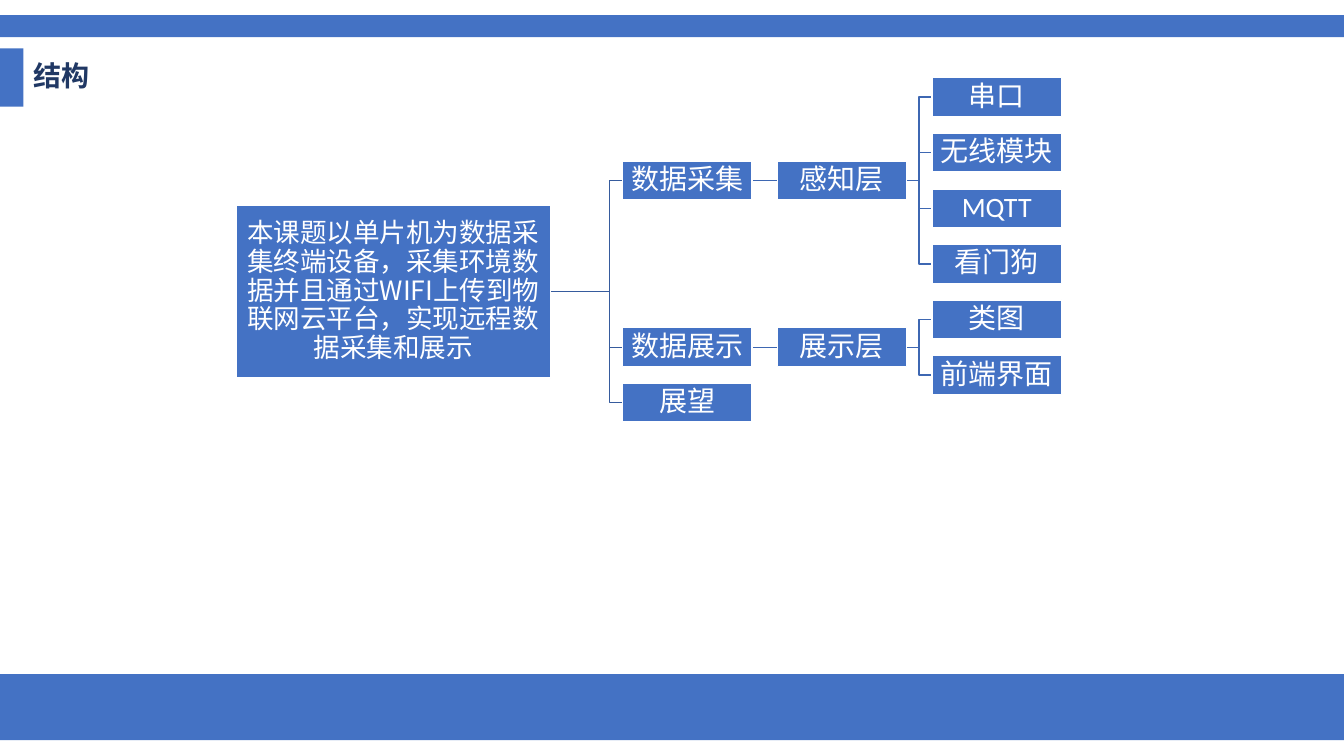
from collections import defaultdict
from dataclasses import dataclass, field
from typing import Any, Iterator

from lxml import etree
from pptx import Presentation
from pptx.dml.color import RGBColor
from pptx.enum.shapes import MSO_CONNECTOR, MSO_SHAPE
from pptx.enum.text import MSO_ANCHOR, MSO_AUTO_SIZE, PP_ALIGN
from pptx.oxml.ns import qn
from pptx.util import Cm, Pt

RECTANGLE = MSO_SHAPE.RECTANGLE
STRAIGHT = MSO_CONNECTOR.STRAIGHT
MIDDLE = MSO_ANCHOR.MIDDLE
NO_AUTOFIT = MSO_AUTO_SIZE.NONE
LEFT, CENTER = PP_ALIGN.LEFT, PP_ALIGN.CENTER


@dataclass(frozen=True)
class Theme:
    blue: str = "4472C4"
    navy: str = "203864"
    white: str = "FFFFFF"
    root_link: str = "365B9D"
    branch_link: str = "3E67B2"
    latin: str = "Calibri"
    chinese: str = "Noto Sans CJK SC"
    title_size: int = 20
    root_size: int = 19
    topic_size: int = 20
    line_width: int = 1


@dataclass(frozen=True)
class Band:
    top: float
    width: float
    height: float


@dataclass
class Topic:
    label: str
    children: list["Topic"] = field(default_factory=list)
    depth: int = 0
    row: float = 0

    @property
    def left(self) -> float:
        return FIRST_COLUMN + (self.depth - 1) * COLUMN_STEP if self.depth else ROOT_LEFT

    @property
    def width(self) -> float:
        return TOPIC_WIDTH if self.depth else ROOT_WIDTH

    @property
    def height(self) -> float:
        return TOPIC_HEIGHT if self.depth else ROOT_HEIGHT

    @property
    def middle(self) -> float:
        return FIRST_ROW + self.row * ROW_STEP


THEME = Theme()
PAGE_WIDTH, PAGE_HEIGHT = 33.87, 19.05
ROOT_LEFT, ROOT_WIDTH, ROOT_HEIGHT = 5.95, 7.92, 4.36
FIRST_COLUMN, COLUMN_STEP = 15.69, 3.9
FIRST_ROW, ROW_STEP = 2.45, 1.4
TOPIC_WIDTH, TOPIC_HEIGHT = 3.26, 0.98
BEND_GAP = 0.33
INSET = 0.03

BANDS = [
    Band(16.99, PAGE_WIDTH, 1.66),
    Band(0.38, PAGE_WIDTH, 0.56),
    Band(1.22, 0.59, 1.47),
]

ROOT = Topic(
    "本课题以单片机为数据采集终端设备，采集环境数据并且通过WIFI上传到物联网云平台，实现远程数据采集和展示",
    [
        Topic("数据采集", [
            Topic("感知层", [Topic(label) for label in ("串口", "无线模块", "MQTT", "看门狗")]),
        ]),
        Topic("数据展示", [
            Topic("展示层", [Topic(label) for label in ("类图", "前端界面")]),
        ]),
        Topic("展望"),
    ],
)

BOX_FRAME = {
    "word_wrap": True, "auto_size": NO_AUTOFIT, "vertical_anchor": MIDDLE,
    "margin_left": Cm(INSET), "margin_right": Cm(INSET),
    "margin_top": Cm(INSET), "margin_bottom": Cm(INSET),
}
TITLE_FRAME = {"word_wrap": True, "auto_size": NO_AUTOFIT, "vertical_anchor": MIDDLE}
TITLE_PLACE = {"left": Cm(0.59), "top": Cm(1.22), "width": Cm(13.5), "height": Cm(1.47)}


def apply(target: Any, values: dict[str, Any]) -> None:
    for name, value in values.items():
        setattr(target, name, value)


def write(frame: Any, text: str, align: Any, color: str, latin: str, size: int, bold: bool = False) -> None:
    para = frame.paragraphs[0]
    apply(para, {"alignment": align, "line_spacing": 0.9})
    span = para.add_run()
    span.text = text
    apply(span.font, {"name": latin, "size": Pt(size), "bold": bold})
    span.font.color.rgb = RGBColor.from_string(color)
    east_asian = etree.SubElement(span.font._element, qn("a:ea"))
    east_asian.set("typeface", THEME.chinese)


def paint_line(line: Any, color: str) -> None:
    line.color.rgb = RGBColor.from_string(color)
    line.width = Pt(THEME.line_width)


def add_rectangle(page: Any, left: float, top: float, width: float, height: float) -> Any:
    box = page.shapes.add_shape(RECTANGLE, Cm(left), Cm(top), Cm(width), Cm(height))
    box.shadow.inherit = False
    box.fill.solid()
    box.fill.fore_color.rgb = RGBColor.from_string(THEME.blue)
    box.line.fill.background()
    return box


def add_title(page: Any, text: str) -> None:
    title = page.shapes.title
    apply(title, TITLE_PLACE)
    apply(title.text_frame, TITLE_FRAME)
    write(title.text_frame, text, LEFT, THEME.navy, THEME.chinese, THEME.title_size, True)


def arrange(topic: Topic, next_row: dict[int, float], depth: int = 0) -> None:
    topic.depth = depth
    for child in topic.children:
        arrange(child, next_row, depth + 1)
    if topic.children:
        topic.row = (topic.children[0].row + topic.children[-1].row) / 2
    else:
        topic.row = next_row[depth]
    next_row[depth] = topic.row + 1


def walk(topic: Topic) -> Iterator[Topic]:
    yield topic
    for child in topic.children:
        yield from walk(child)


def add_link(page: Any, parent: Topic, child: Topic) -> None:
    color = THEME.branch_link if parent.depth else THEME.root_link
    start, bend, end = Cm(parent.left + parent.width), Cm(child.left - BEND_GAP), Cm(child.left)
    from_y, to_y = Cm(parent.middle), Cm(child.middle)
    if parent.row == child.row:
        link = page.shapes.add_connector(STRAIGHT, start, from_y, end, to_y)
        paint_line(link.line, color)
        etree.SubElement(link._element.spPr, qn("a:effectLst"))
        return
    outline = page.shapes.build_freeform(start, from_y)
    outline.add_line_segments([(bend, from_y), (bend, to_y), (end, to_y)], close=False)
    link = outline.convert_to_shape()
    link.shadow.inherit = False
    link.fill.background()
    paint_line(link.line, color)


def add_topic(page: Any, topic: Topic) -> None:
    box = add_rectangle(page, topic.left, topic.middle - topic.height / 2, topic.width, topic.height)
    paint_line(box.line, THEME.white)
    apply(box.text_frame, BOX_FRAME)
    latin, size = (THEME.latin, THEME.topic_size) if topic.depth else (THEME.chinese, THEME.root_size)
    write(box.text_frame, topic.label, CENTER, THEME.white, latin, size)


def main() -> None:
    deck = Presentation()
    apply(deck, {"slide_width": Cm(PAGE_WIDTH), "slide_height": Cm(PAGE_HEIGHT)})
    page = deck.slides.add_slide(deck.slide_layouts.get_by_name("Title Only"))
    for band in BANDS:
        add_rectangle(page, 0, band.top, band.width, band.height)
    add_title(page, "结构")
    arrange(ROOT, defaultdict(float))
    for parent in walk(ROOT):
        for child in parent.children:
            add_link(page, parent, child)
    for topic in walk(ROOT):
        add_topic(page, topic)
    deck.save("out.pptx")


if __name__ == "__main__":
    main()
